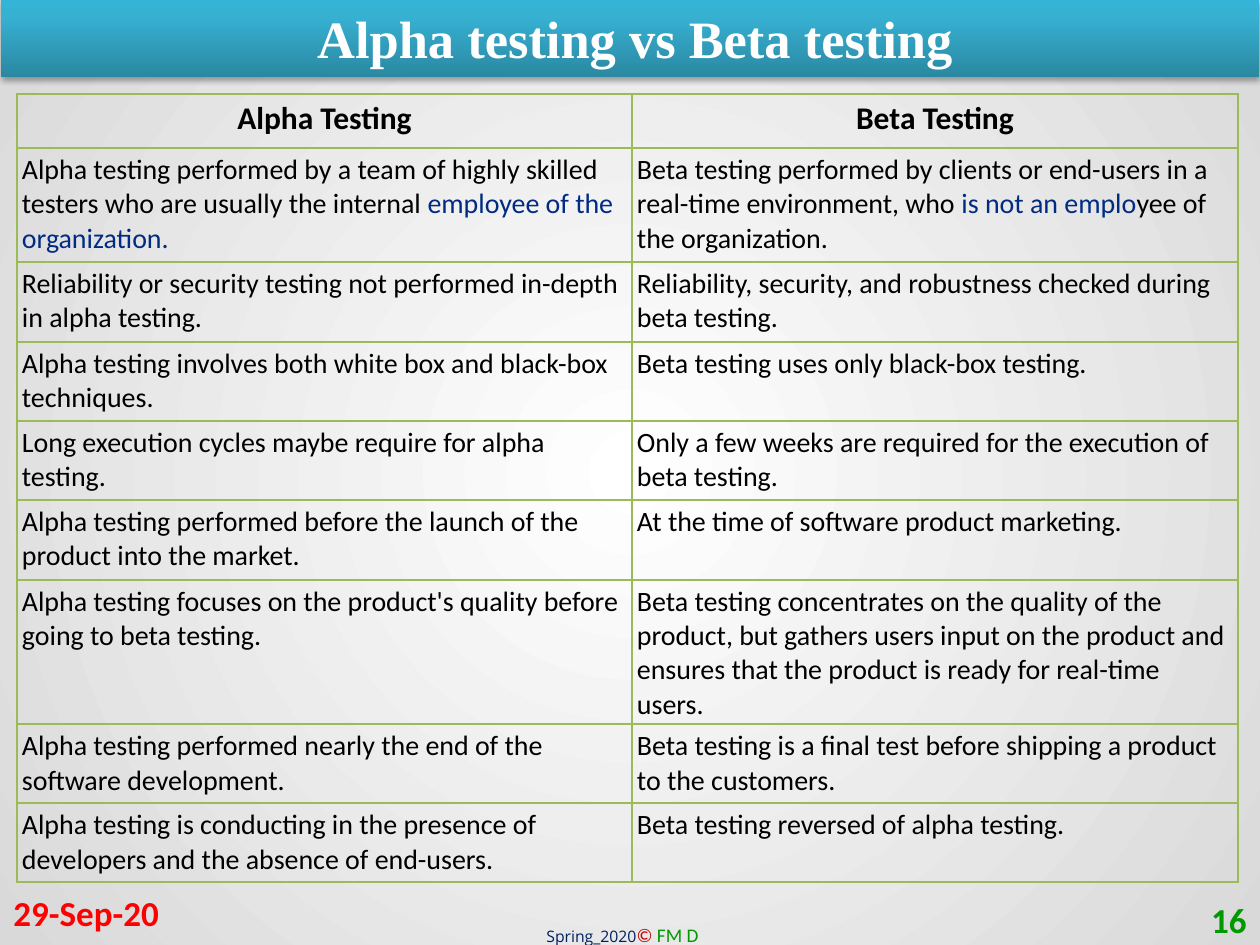
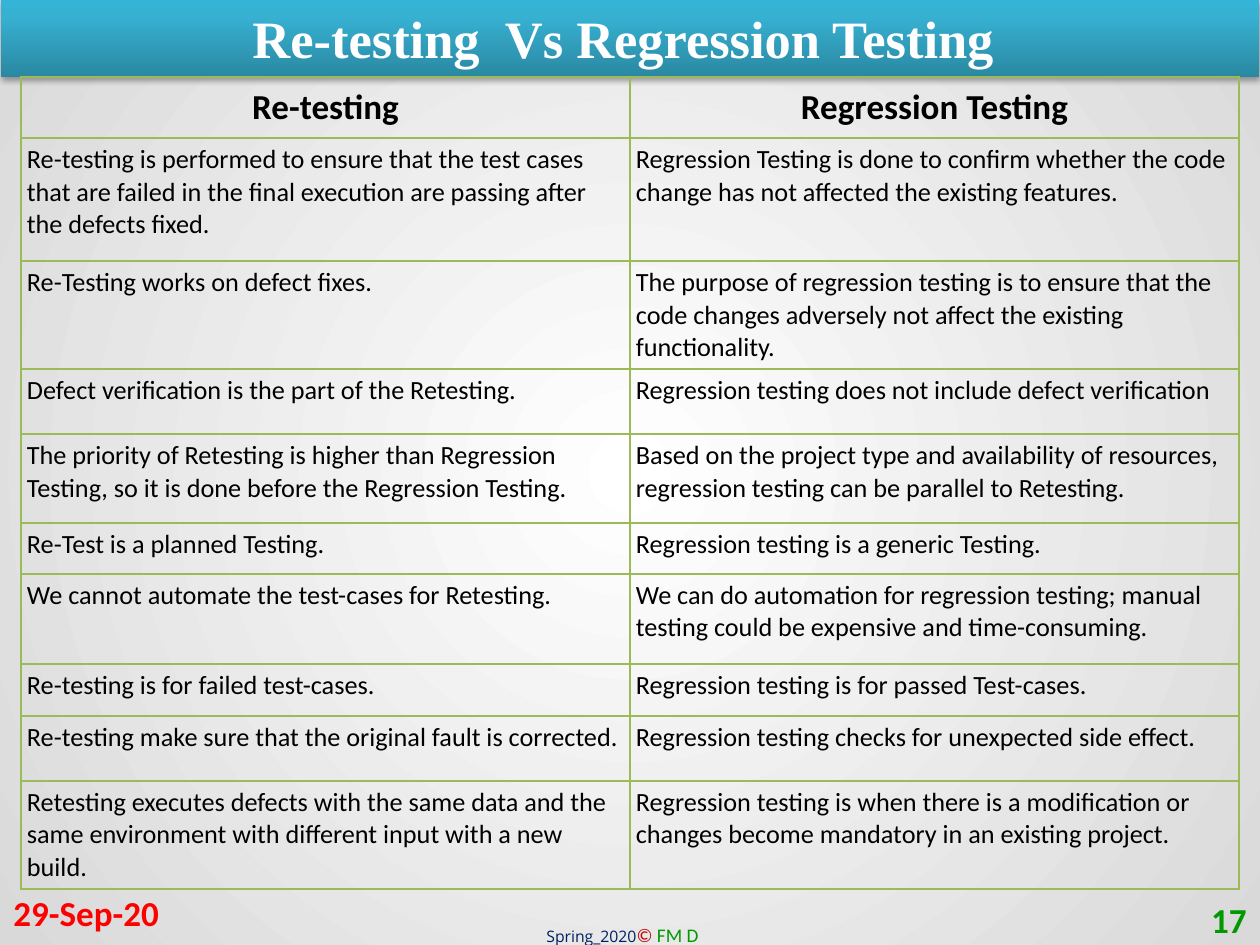
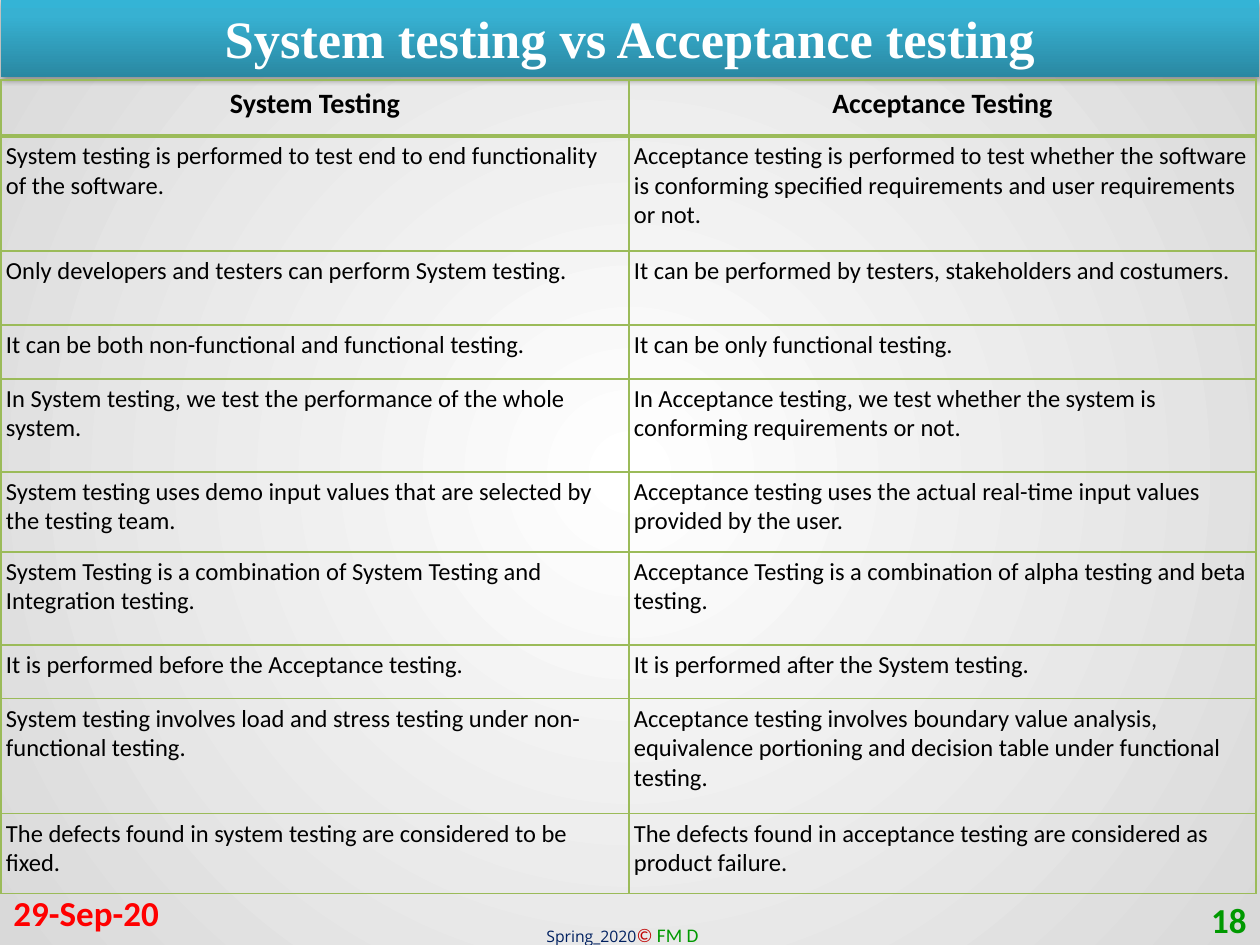
from dataclasses import dataclass

from pptx import Presentation
from pptx import util as u
from pptx.dml.color import RGBColor
from pptx.enum import text
from pptx.oxml import parse_xml
from pptx.oxml.ns import nsdecls, qn

SCALE = u.Inches(1) / 126


def px(length):
    return u.Emu(round(length * SCALE))


class Theme:
    ink = "000000"
    white = "FFFFFF"
    highlight = "002B82"
    border = "9BBB59"
    date = "FF0000"
    number = "009900"
    term = "002060"
    mark = "C00000"
    backdrop = [(0, "FFFFFF"), (100, "D9D9D9")]
    band = [(0, "2A88A2"), (80, "37B1D2"), (100, "34B4D6")]
    body_font = "Calibri"
    title_font = "Times New Roman"
    term_font = "Open Sans"
    title_size = 30
    footer_size = 20
    term_size = 9
    credit_size = 11


SLIDE_BOX = (0, 0, 1260, 945)
TITLE_BOX = (1, 0, 1258, 77)


@dataclass
class Comparison:
    """Column widths, row heights and insets are in px; | marks highlighted text."""
    title: str
    number: int
    corner: tuple
    columns: tuple
    heights: tuple
    header_size: int
    body_size: int
    header_inset: int
    body_inset: int
    rows: list
    header_rule: int = 1


COMPARISONS = [
    Comparison(
        " Alpha testing vs Beta testing", 16, (17, 94), (615, 606),
        (54, 114, 80, 79, 79, 80, 134, 79, 79), 18, 16, 6, 5,
        [
            ("Alpha Testing", "Beta Testing"),
            ("Alpha testing performed by a team of highly skilled testers who are usually "
             "the internal |employee of the organization.",
             "Beta testing performed by clients or end-users in a real-time environment, "
             "who |is not an emplo|yee of the organization."),
            ("Reliability or security testing not performed in-depth in alpha testing.",
             "Reliability, security, and robustness checked during beta testing."),
            ("Alpha testing involves both white box and black-box techniques.",
             "Beta testing uses only black-box testing."),
            ("Long execution cycles maybe require for alpha testing.",
             "Only a few weeks are required for the execution of beta testing."),
            ("Alpha testing performed before the launch of the product into the market.",
             "At the time of software product marketing."),
            ("Alpha testing focuses on the product's quality before going to beta testing.",
             "Beta testing concentrates on the quality of the product, but gathers users "
             "input on the product and ensures that the product is ready for real-time users."),
            ("Alpha testing performed nearly the end of the software development.",
             "Beta testing is a final test before shipping a product to the customers."),
            ("Alpha testing is conducting in the presence of developers and the absence of "
             "end-users.",
             "Beta testing reversed of alpha testing."),
        ]),
    Comparison(
        "Re-testing  Vs Regression Testing ", 17, (21, 77), (609, 609),
        (61, 123, 108, 65, 89, 51, 90, 52, 65, 108), 20, 15, 9, 6,
        [
            ("Re-testing", "Regression Testing"),
            ("Re-testing is performed to ensure that the test cases that are failed in the "
             "final execution are passing after the defects fixed.",
             "Regression Testing is done to confirm whether the code change has not affected "
             "the existing features."),
            ("Re-Testing works on defect fixes.",
             "The purpose of regression testing is to ensure that the code changes adversely "
             "not affect the existing functionality."),
            ("Defect verification is the part of the Retesting.",
             "Regression testing does not include defect verification"),
            ("The priority of Retesting is higher than Regression Testing, so it is done "
             "before the Regression Testing.",
             "Based on the project type and availability of resources, regression testing "
             "can be parallel to Retesting."),
            ("Re-Test is a planned Testing.", "Regression testing is a generic Testing."),
            ("We cannot automate the test-cases for Retesting.",
             "We can do automation for regression testing; manual testing could be expensive "
             "and time-consuming."),
            ("Re-testing is for failed test-cases.",
             "Regression testing is for passed Test-cases."),
            ("Re-testing make sure that the original fault is corrected.",
             "Regression testing checks for unexpected side effect."),
            ("Retesting executes defects with the same data and the same environment with "
             "different input with a new build.",
             "Regression testing is when there is a modification or changes become mandatory "
             "in an existing project."),
        ]),
    Comparison(
        "System testing vs Acceptance testing", 18, (1, 80), (628, 627),
        (56, 115, 74, 54, 93, 80, 93, 54, 115, 80), 16, 14, 7, 5,
        [
            ("System Testing", "Acceptance Testing"),
            ("System testing is performed to test end to end functionality of the software.",
             "Acceptance testing is performed to test whether the software is conforming "
             "specified requirements and user requirements or not."),
            ("Only developers and testers can perform System testing.",
             "It can be performed by testers, stakeholders and costumers."),
            ("It can be both non-functional and functional testing.",
             "It can be only functional testing."),
            ("In System testing, we test the performance of the whole system.",
             "In Acceptance testing, we test whether the system is conforming requirements "
             "or not."),
            ("System testing uses demo input values that are selected by the testing team.",
             "Acceptance testing uses the actual real-time input values provided by the user."),
            ("System Testing is a combination of System Testing and Integration testing.",
             "Acceptance Testing is a combination of alpha testing and beta testing."),
            ("It is performed before the Acceptance testing.",
             "It is performed after the System testing."),
            ("System testing involves load and stress testing under non-functional testing.",
             "Acceptance testing involves boundary value analysis, equivalence portioning "
             "and decision table under functional testing."),
            ("The defects found in system testing are considered to be fixed.",
             "The defects found in acceptance testing are considered as product failure."),
        ],
        header_rule=2),
]


def style(font, size, colour, face=Theme.body_font, bold=False, italic=False):
    font.name, font.size = face, u.Pt(size)
    font.bold, font.italic = bold, italic
    font.color.rgb = RGBColor.from_string(colour)


def set_gradient(fill, parent, stops, direction):
    """Replace the fill inside parent by a gradient; direction is its a:lin or a:path."""
    fill.solid()
    stop_list = "".join(
        f'<a:gs pos="{position * 1000}"><a:srgbClr val="{colour}"/></a:gs>'
        for position, colour in stops)
    gradient = parse_xml(f'<a:gradFill {nsdecls("a")} rotWithShape="1">'
                         f"<a:gsLst>{stop_list}</a:gsLst>{direction}</a:gradFill>")
    parent.replace(parent.find(qn("a:solidFill")), gradient)


def paint_backdrop(master):
    fill = master.background.fill
    fill.solid()
    set_gradient(fill, master.element.find(".//" + qn("p:bgPr")), Theme.backdrop,
                 '<a:path path="circle">'
                 '<a:fillToRect l="50000" t="50000" r="50000" b="50000"/></a:path>')


def add_title(slide, title, box):
    band = slide.shapes.title
    band.left, band.top, band.width, band.height = map(px, box)
    properties = band.element.spPr
    set_gradient(band.fill, properties, Theme.band, '<a:lin ang="16200000" scaled="0"/>')
    properties.append(parse_xml(
        f'<a:effectLst {nsdecls("a")}><a:outerShdw blurRad="40000" dist="23000" '
        'dir="5400000" rotWithShape="0"><a:srgbClr val="000000"><a:alpha val="35000"/>'
        "</a:srgbClr></a:outerShdw></a:effectLst>"))
    frame = band.text_frame
    frame.auto_size = text.MSO_AUTO_SIZE.NONE
    frame.vertical_anchor = text.MSO_ANCHOR.TOP
    heading = frame.paragraphs[0]
    heading.text = title
    heading.alignment = text.PP_ALIGN.CENTER
    style(heading.font, Theme.title_size, Theme.white, Theme.title_font, bold=True)


def add_credit(slide, box):
    left, top, _, height = box
    frame = slide.shapes.add_textbox(
        *map(px, (left + 534, top + height - 28, 190, 37))).text_frame
    frame.word_wrap = False
    line = frame.paragraphs[0]
    for words, look in (
            ("Spring_2020", (Theme.term_size, Theme.term, Theme.term_font)),
            ("© ", (Theme.credit_size, Theme.mark, Theme.body_font, False, True)),
            ("FM D", (Theme.credit_size, Theme.number))):
        run = line.add_run()
        run.text = words
        style(run.font, *look)


def add_footer(slide, number, box):
    left, top, width, height = box
    add_credit(slide, box)
    for words, colour, x, y, alignment in (
            ("29-Sep-20", Theme.date, 1, 57, text.PP_ALIGN.LEFT),
            (str(number), Theme.number, width - 295, 50, text.PP_ALIGN.RIGHT)):
        frame = slide.shapes.add_textbox(
            *map(px, (left + x, top + height - y, 294, 50))).text_frame
        frame.word_wrap = True
        frame.vertical_anchor = text.MSO_ANCHOR.MIDDLE
        line = frame.paragraphs[0]
        line.text = words
        line.alignment = alignment
        style(line.font, Theme.footer_size, colour, bold=True)


def set_borders(cell, bottom):
    properties = cell._tc.get_or_add_tcPr()
    for side, points in (("L", 1), ("R", 1), ("T", 1), ("B", bottom)):
        properties.append(parse_xml(
            f'<a:ln{side} {nsdecls("a")} w="{u.Pt(points)}"><a:solidFill>'
            f'<a:srgbClr val="{Theme.border}"/></a:solidFill></a:ln{side}>'))


def fill_cell(cell, words, comparison, is_header):
    inset = comparison.header_inset if is_header else comparison.body_inset
    set_borders(cell, comparison.header_rule if is_header else 1)
    cell.fill.background()
    cell.margin_left = cell.margin_right = px(inset)
    cell.margin_top = cell.margin_bottom = px(inset)
    line = cell.text_frame.paragraphs[0]
    line.alignment = text.PP_ALIGN.CENTER if is_header else text.PP_ALIGN.LEFT
    size = comparison.header_size if is_header else comparison.body_size
    style(line.font, size, Theme.ink, bold=is_header)
    for index, part in enumerate(words.split("|")):
        run = line.add_run()
        run.text = part
        if index % 2:
            run.font.color.rgb = RGBColor.from_string(Theme.highlight)


def add_comparison_table(slide, comparison):
    box = (*comparison.corner, sum(comparison.columns), sum(comparison.heights))
    table = slide.shapes.add_table(
        len(comparison.rows), len(comparison.columns), *map(px, box)).table
    table.first_row = table.horz_banding = False
    for column, width in zip(table.columns, comparison.columns):
        column.width = px(width)
    for index, (row, height) in enumerate(zip(table.rows, comparison.heights)):
        row.height = px(height)
        for cell, words in zip(row.cells, comparison.rows[index]):
            fill_cell(cell, words, comparison, is_header=index == 0)


def main():
    deck = Presentation()
    deck.slide_width, deck.slide_height = map(px, SLIDE_BOX[2:])
    paint_backdrop(deck.slide_master)
    title_only = deck.slide_layouts.get_by_name("Title Only")
    for comparison in COMPARISONS:
        slide = deck.slides.add_slide(title_only)
        add_title(slide, comparison.title, TITLE_BOX)
        add_footer(slide, comparison.number, SLIDE_BOX)
        add_comparison_table(slide, comparison)
    deck.save("out.pptx")


if __name__ == "__main__":
    main()
